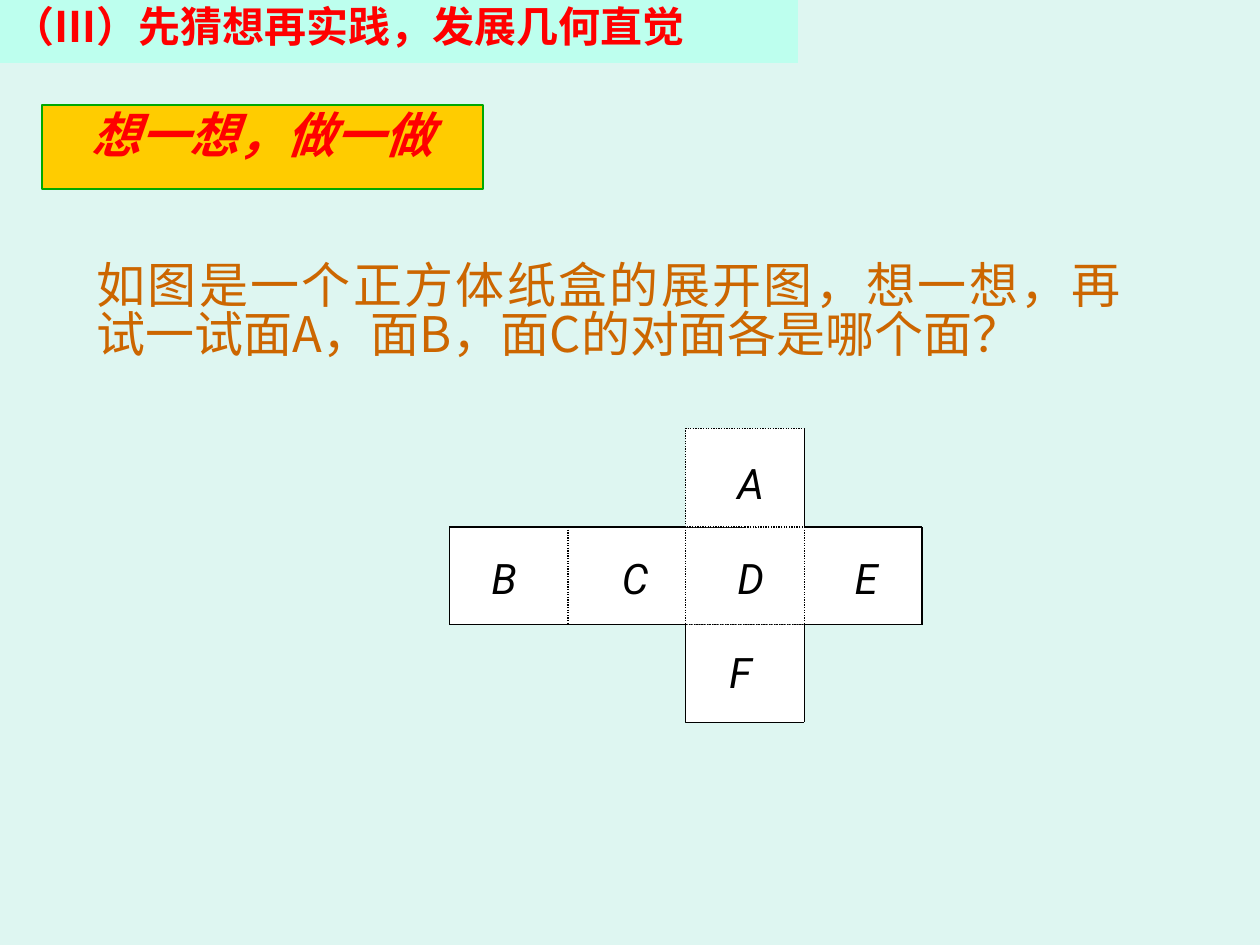
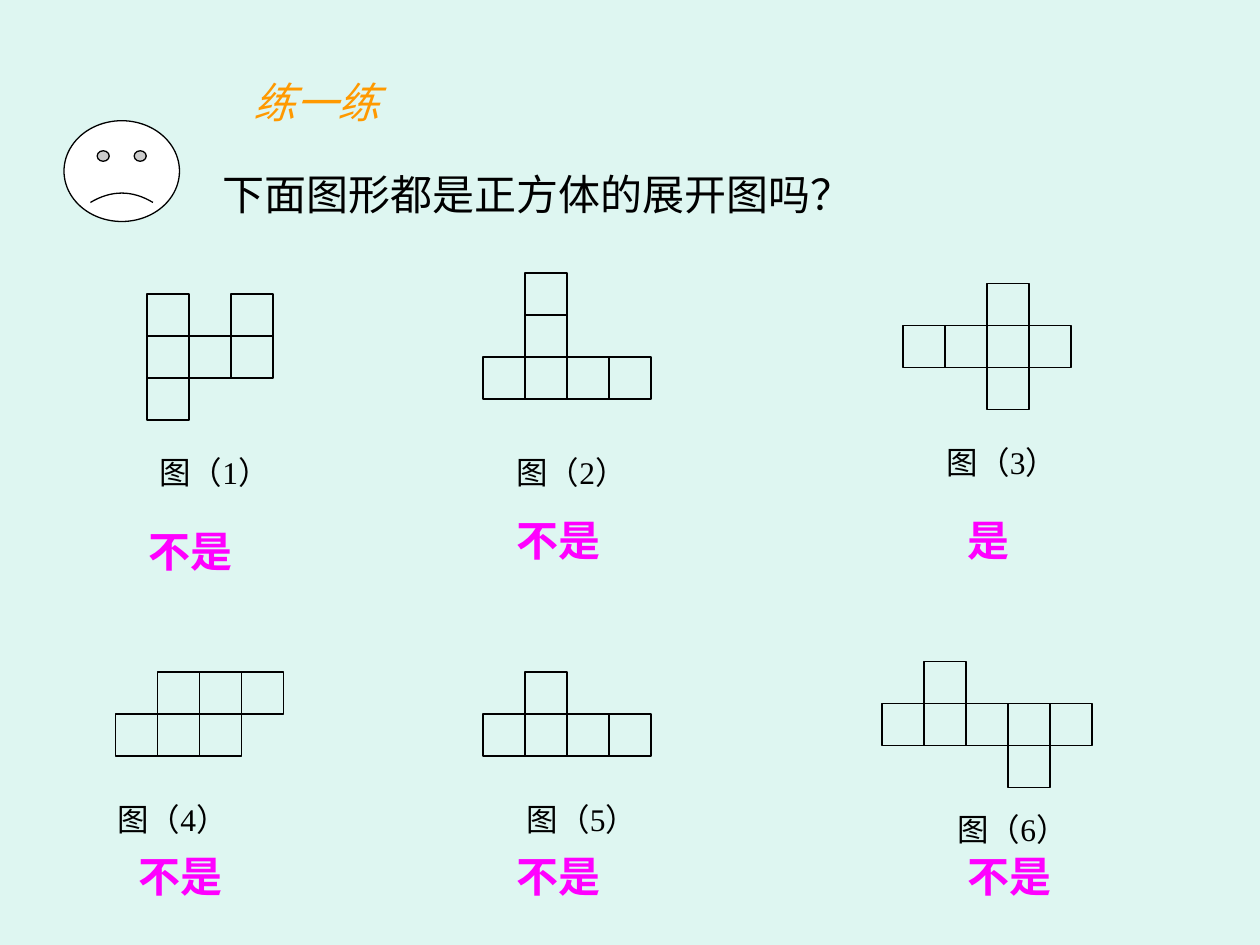
from lxml import etree
from pptx import Presentation
from pptx.dml.color import RGBColor
from pptx.enum import dml, shapes, text
from pptx.oxml.ns import qn
from pptx.util import Emu, Pt

PX = 7620  # 120 px to the inch
COLORS = {
    "page": "DEF6F1", "band": "BDFFEE", "badge": "FFCC00", "badge_line": "00A800",
    "red": "FF0000", "brown": "CC6600", "orange": "FF9900", "magenta": "FF00FF",
    "black": "000000", "white": "FFFFFF",
}
CJK, SERIF, SANS = "Noto Sans CJK SC", "Times New Roman", "Roboto"
CENTER, JUSTIFY = text.PP_ALIGN.CENTER, text.PP_ALIGN.JUSTIFY
DOTTED = dml.MSO_LINE.ROUND_DOT

# Each style: text colour, font values, paragraph values
STYLES = {
    "heading": ("red", {"size": Pt(24), "bold": True, "name": SERIF}, {}),
    "badge": ("red", {"size": Pt(28), "bold": True, "italic": True, "name": SERIF},
              {"alignment": CENTER}),
    "task": ("brown", {"size": Pt(28), "name": CJK},
             {"alignment": JUSTIFY, "line_spacing": 0.83}),
    "face": ("black", {"size": Pt(24), "italic": True, "name": SANS},
             {"alignment": CENTER, "line_spacing": 1.0}),
    "practice": ("orange", {"size": Pt(24), "italic": True, "name": CJK},
                 {"alignment": CENTER}),
    "question": ("black", {"size": Pt(24), "name": SERIF}, {}),
    "caption": ("black", {"size": Pt(18), "name": SERIF}, {}),
    "answer": ("magenta", {"size": Pt(24), "bold": True, "name": SERIF}, {}),
}


def rgb(name):
    return RGBColor.from_string(COLORS[name])


def emu(*lengths):
    return [Emu(n * PX) for n in lengths]


class Deck:
    def __init__(self):
        self.prs = Presentation()
        self.prs.slide_width, self.prs.slide_height = emu(1200, 900)
        fill = self.prs.slide_master.background.fill
        fill.solid()
        fill.fore_color.rgb = rgb("page")
        self.s = None

    def new_slide(self):
        self.s = self.prs.slides.add_slide(self.prs.slide_layouts[1])

    def put_text(self, sp, words, style, top_inset=6):
        color, font, para = STYLES[style]
        tf = sp.text_frame
        frame = {"word_wrap": True, "auto_size": text.MSO_AUTO_SIZE.NONE,
                 "vertical_anchor": text.MSO_ANCHOR.TOP}
        sides = ("left", "top", "right", "bottom")
        insets = zip(sides, emu(12, top_inset, 12, 6))
        frame.update({f"margin_{side}": inset for side, inset in insets})
        for key, value in frame.items():
            setattr(tf, key, value)
        p = tf.paragraphs[0]
        values = {"alignment": text.PP_ALIGN.LEFT, "line_spacing": 0.9,
                  "space_before": Pt(0), **para}
        for key, value in values.items():
            setattr(p, key, value)
        r = p.add_run()
        r.text = words
        for key, value in font.items():
            setattr(r.font, key, value)
        r.font.color.rgb = rgb(color)
        etree.SubElement(r.font._element, qn("a:ea"), typeface=CJK)

    def placeholder(self, index, box, words, style, fill=None, top_inset=6):
        sp = self.s.placeholders[index]
        sp.left, sp.top, sp.width, sp.height = emu(*box)
        if fill:
            sp.fill.solid()
            sp.fill.fore_color.rgb = rgb(fill)
        self.put_text(sp, words, style, top_inset)
        if index:
            pPr = sp.text_frame.paragraphs[0]._p.get_or_add_pPr()
            pPr.set("marL", "0")
            pPr.set("indent", "0")
            etree.SubElement(pPr, qn("a:buNone"))

    def label(self, box, words, style):
        self.put_text(self.s.shapes.add_textbox(*emu(*box)), words, style)

    def shape(self, box, fill, line="black", dash=None,
              kind=shapes.MSO_SHAPE.RECTANGLE):
        sp = self.s.shapes.add_shape(kind, *emu(*box))
        sp.shadow.inherit = False
        sp.fill.solid()
        sp.fill.fore_color.rgb = rgb(fill)
        self.stroke(sp.line, line, dash)
        return sp

    def stroke(self, line, color, dash):
        line.color.rgb = rgb(color)
        line.width = Pt(0.75)
        if dash:
            line.dash_style = dash

    def line(self, x1, y1, x2, y2, dash=None):
        c = self.s.shapes.add_connector(shapes.MSO_CONNECTOR.STRAIGHT,
                                        *emu(x1, y1, x2, y2))
        self.stroke(c.line, "black", dash)
        etree.SubElement(c._element.spPr, qn("a:effectLst"))

    def net(self, left, top, rows, cell=40):
        """Draw a square for every x in the rows."""
        for j, row in enumerate(rows.split()):
            for i, mark in enumerate(row):
                if mark == "x":
                    self.shape((left + i * cell, top + j * cell, cell, cell), "page")


def lettered_net(deck):
    xs, ys = [428, 541, 653, 766, 878], [408, 502, 595, 688]
    # Grid corners: column, row, column, row
    blocks = [(0, 1, 4, 2), (2, 0, 3, 1), (2, 2, 3, 3)]
    folds = [(i, 1, i, 2) for i in (1, 2, 3)]
    edges = [(0, 1, 2, 1), (0, 1, 0, 2), (0, 2, 2, 2), (3, 1, 4, 1), (4, 1, 4, 2),
             (3, 2, 4, 2), (2, 3, 3, 3), (3, 0, 3, 1), (3, 2, 3, 3), (2, 2, 2, 3)]
    for a, b, c, d in blocks:
        deck.shape((xs[a], ys[b], xs[c] - xs[a], ys[d] - ys[b]), "white", dash=DOTTED)
    for lines, dash in ((folds, DOTTED), (edges, None)):
        for a, b, c, d in lines:
            deck.line(xs[a], ys[b], xs[c], ys[d], dash)
    faces = [("A", 680, 430, 70), ("B", 450, 520, 60), ("C", 570, 520, 70),
             ("D", 680, 520, 70), ("E", 790, 520, 70), ("F", 660, 610, 90)]
    for letter, left, top, width in faces:
        deck.label((left, top, width, 60), letter, "face")


def think_slide(deck):
    deck.new_slide()
    deck.placeholder(0, (0, 0, 760, 60), "（Ⅲ）先猜想再实践，发展几何直觉",
                     "heading", fill="band")
    badge = deck.shape((40, 100, 420, 80), "badge", "badge_line")
    deck.put_text(badge, "想一想，做一做", "badge")
    deck.placeholder(1, (80, 240, 1000, 125),
                     "如图是一个正方体纸盒的展开图，想一想，再试一试"
                     "面A，面B，面C的对面各是哪个面？", "task", top_inset=12)
    lettered_net(deck)


def practice_slide(deck):
    deck.new_slide()
    deck.placeholder(0, (181, 72, 240, 65), "练一练", "practice")
    deck.placeholder(1, (200, 160, 730, 60), "下面图形都是正方体的展开图吗？", "question")
    face = deck.shape((61, 115, 110, 96), "white", kind=shapes.MSO_SHAPE.SMILEY_FACE)
    face.adjustments[0] = -0.047
    # Net corner and rows, caption corner, answer corner and words
    nets = [
        (140, 280, "x.x xxx x..", (140, 430), (130, 500), "不是"),
        (460, 260, ".x.. .x.. xxxx", (480, 430), (480, 490), "不是"),
        (860, 270, "..x. xxxx ..x.", (890, 420), (910, 490), "是"),
        (110, 640, ".xxx xxx.", (100, 760), (120, 810), "不是"),
        (460, 640, ".x.. xxxx", (490, 760), (480, 810), "不是"),
        (840, 630, ".x... xxxxx ...x.", (900, 770), (910, 810), "不是"),
    ]
    for n, (left, top, rows, caption, answer, words) in enumerate(nets, 1):
        deck.net(left, top, rows)
        deck.label((*caption, 190, 48), f"图（{n}）", "caption")
        deck.label((*answer, 210, 60), words, "answer")


def main():
    deck = Deck()
    think_slide(deck)
    practice_slide(deck)
    deck.prs.save("out.pptx")


if __name__ == "__main__":
    main()
